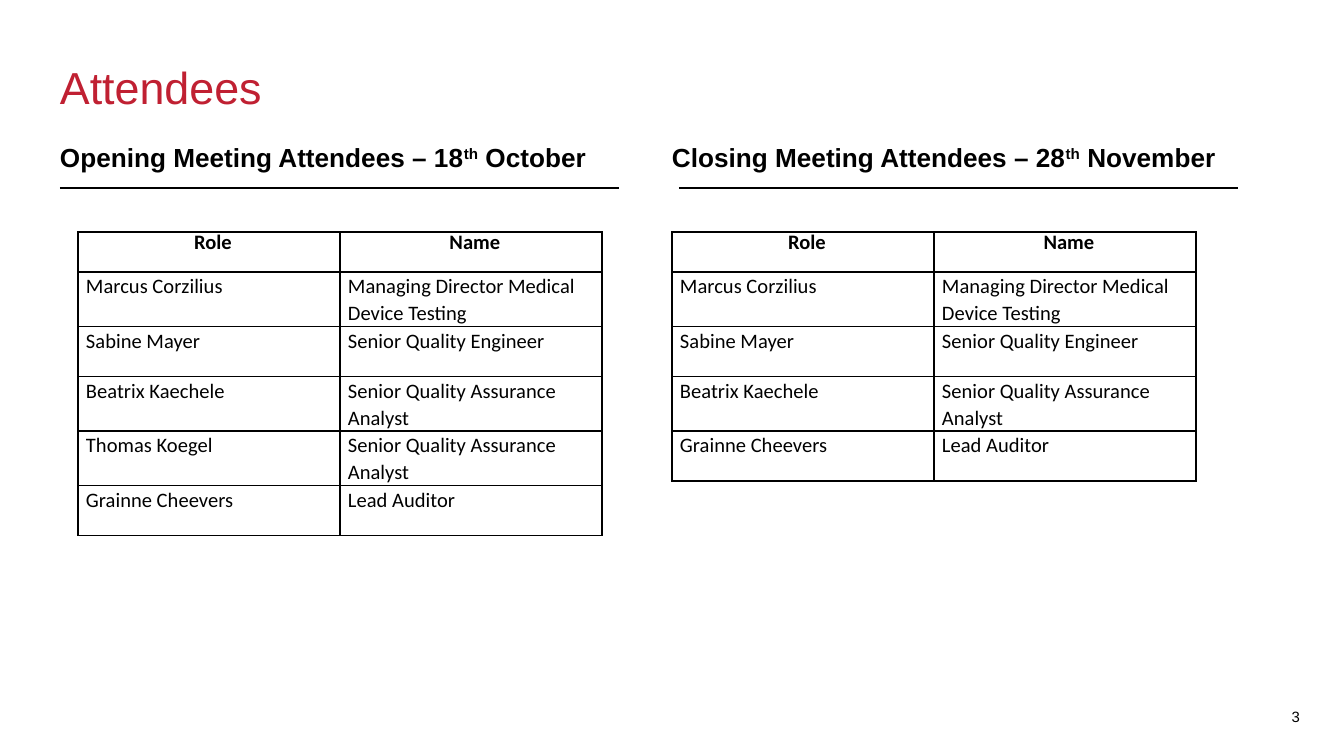
import pptx
import pptx.util
import pptx.dml.color
import pptx.enum.shapes
import pptx.enum.text
import pptx.oxml.ns
import lxml.etree

BLACK = pptx.dml.color.RGBColor(0x00, 0x00, 0x00)
RED = pptx.dml.color.RGBColor(0xC0, 0x20, 0x32)
ALIGN = pptx.enum.text.PP_ALIGN
ANCHOR = pptx.enum.text.MSO_ANCHOR

# Content
TITLE = "Attendees"
PAGE_NUMBER = "3"
HEADER = ("Role", "Name")
MARCUS = ("Marcus Corzilius", "Managing Director Medical Device Testing")
SABINE = ("Sabine Mayer", "Senior Quality Engineer")
BEATRIX = ("Beatrix Kaechele", "Senior Quality Assurance Analyst")
THOMAS = ("Thomas Koegel", "Senior Quality Assurance Analyst")
GRAINNE = ("Grainne Cheevers", "Lead Auditor")

# Horizontal places in px
MEETINGS = [
    {"heading": ("Opening Meeting Attendees – 18", "th", " October"),
     "heading_left": 60, "rule_left": 60, "table_left": 78,
     "attendees": [MARCUS, SABINE, BEATRIX, THOMAS, GRAINNE]},
    {"heading": ("Closing Meeting Attendees – 28", "th", " November"),
     "heading_left": 672, "rule_left": 679, "table_left": 672,
     "attendees": [MARCUS, SABINE, BEATRIX, GRAINNE]},
]

# Shared sizes in px
COLUMN_WIDTH = 559
HEADING_TOP, HEADING_HEIGHT = 141, 74
RULE_TOP = 188
TABLE_TOP, CELL_WIDTH = 232, 262
HEADER_HEIGHT, ROW_HEIGHT = 40, 50
CELL_INDENT = 8


def px(value):
    return pptx.util.Emu(round(value * 914400 / 134.4))


def add_run(paragraph, text, size, color, font="Arial", bold=False):
    run = paragraph.add_run()
    run.text = text
    run.font.name = font
    run.font.size = pptx.util.Pt(size)
    run.font.bold = bold
    run.font.color.rgb = color
    return run


def add_text_box(slide, left, top, width, height, wrap=True):
    frame = slide.shapes.add_textbox(px(left), px(top), px(width), px(height)).text_frame
    frame.word_wrap = wrap
    frame.margin_left = frame.margin_top = frame.margin_right = frame.margin_bottom = 0
    return frame


def add_rule(slide, left):
    rule = slide.shapes.add_connector(
        pptx.enum.shapes.MSO_CONNECTOR.STRAIGHT,
        px(left), px(RULE_TOP), px(left + COLUMN_WIDTH), px(RULE_TOP))
    rule.line.color.rgb = BLACK
    rule.line.width = pptx.util.Pt(1.5)
    lxml.etree.SubElement(rule._element.spPr, pptx.oxml.ns.qn("a:effectLst"))


def add_heading(slide, left, parts):
    frame = add_text_box(slide, left, HEADING_TOP, COLUMN_WIDTH, HEADING_HEIGHT)
    paragraph = frame.paragraphs[0]
    paragraph.space_after = pptx.util.Pt(12)
    day, suffix, month = parts
    add_run(paragraph, day, 14, BLACK, bold=True)
    raised = add_run(paragraph, suffix, 14, BLACK, bold=True)
    raised.font._element.set("baseline", "30000")
    add_run(paragraph, month, 14, BLACK, bold=True)


def add_borders(cell):
    properties = cell._tc.get_or_add_tcPr()
    for position, side in enumerate(("lnL", "lnR", "lnT", "lnB")):
        border = lxml.etree.Element(pptx.oxml.ns.qn("a:" + side), w=str(pptx.util.Pt(1)))
        fill = lxml.etree.SubElement(border, pptx.oxml.ns.qn("a:solidFill"))
        lxml.etree.SubElement(fill, pptx.oxml.ns.qn("a:srgbClr"), val=str(BLACK))
        properties.insert(position, border)


def fill_cell(cell, text, is_header):
    cell.fill.background()
    cell.margin_left = cell.margin_top = cell.margin_right = cell.margin_bottom = 0
    paragraph = cell.text_frame.paragraphs[0]
    paragraph.alignment = ALIGN.CENTER if is_header else ALIGN.LEFT
    paragraph.line_spacing = pptx.util.Pt(12.4 if is_header else 14.6)
    paragraph._p.get_or_add_pPr().set("marL", str(px(CELL_INDENT)))
    add_run(paragraph, text, 11, BLACK, "Calibri", is_header)
    add_borders(cell)


def add_attendee_table(slide, left, attendees):
    rows = [HEADER] + attendees
    height = HEADER_HEIGHT + ROW_HEIGHT * len(attendees)
    table = slide.shapes.add_table(
        len(rows), len(HEADER), px(left), px(TABLE_TOP),
        px(CELL_WIDTH * len(HEADER)), px(height)).table
    table.first_row = table.horz_banding = False
    for column in table.columns:
        column.width = px(CELL_WIDTH)
    for row_index, values in enumerate(rows):
        is_header = row_index == 0
        table.rows[row_index].height = px(HEADER_HEIGHT if is_header else ROW_HEIGHT)
        for column_index, text in enumerate(values):
            fill_cell(table.cell(row_index, column_index), text, is_header)


def main():
    presentation = pptx.Presentation()
    presentation.slide_width, presentation.slide_height = px(1344), px(756)
    slide = presentation.slides.add_slide(presentation.slide_layouts[6])

    # Title
    title = add_text_box(slide, 60, 60, 810, 65)
    add_run(title.paragraphs[0], TITLE, 24, RED)

    # One column per meeting: rule, heading, table
    for meeting in MEETINGS:
        add_rule(slide, meeting["rule_left"])
        add_heading(slide, meeting["heading_left"], meeting["heading"])
        add_attendee_table(slide, meeting["table_left"], meeting["attendees"])

    # Page number
    footer = add_text_box(slide, 1210, 702, 90, 23, wrap=False)
    footer.vertical_anchor = ANCHOR.BOTTOM
    footer.paragraphs[0].alignment = ALIGN.RIGHT
    add_run(footer.paragraphs[0], PAGE_NUMBER, 8, BLACK)

    presentation.save("out.pptx")


if __name__ == "__main__":
    main()
